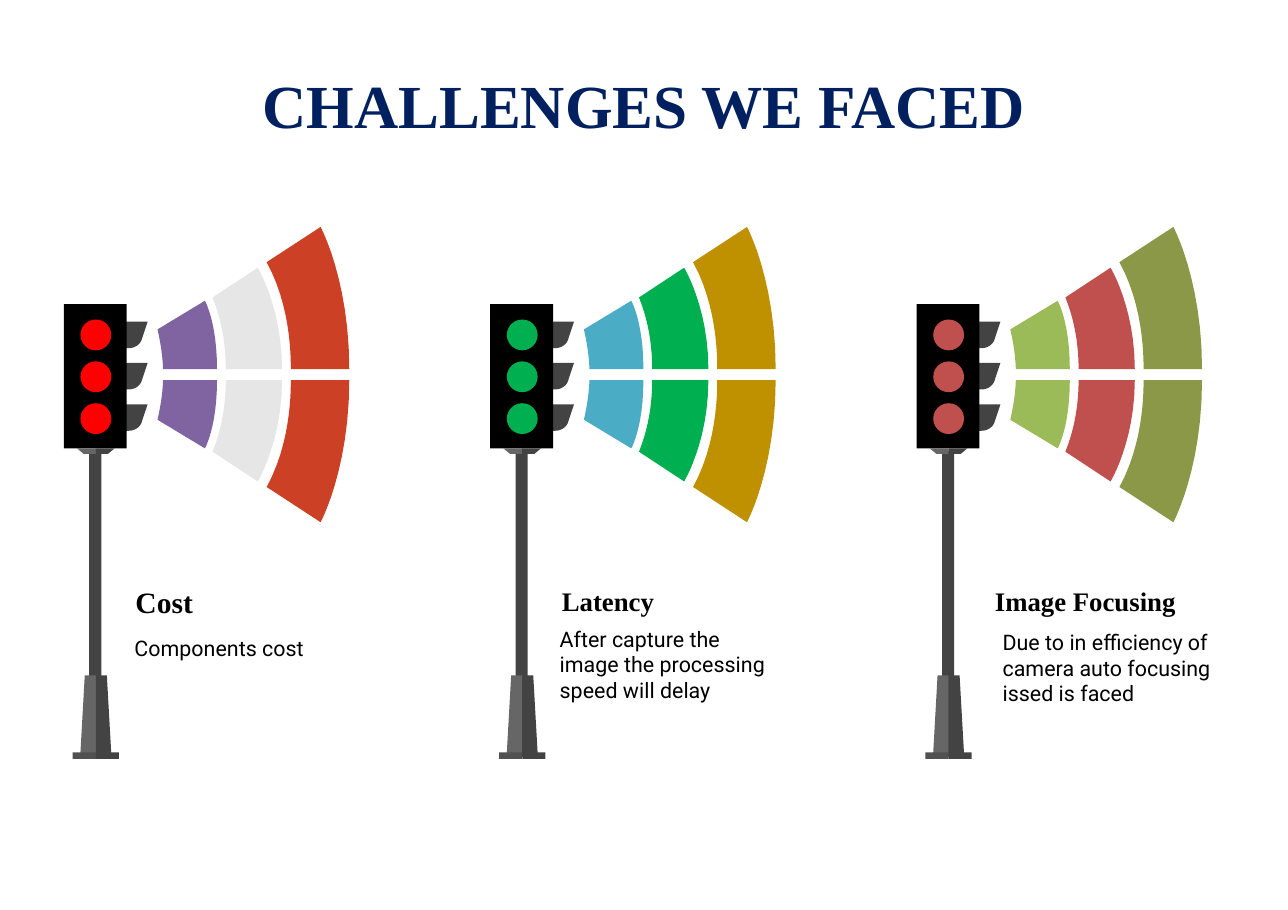
"""Builds the slide on challenges faced, shown as three traffic lights with beams."""
from pptx import Presentation
from pptx.dml.color import RGBColor
from pptx.enum.shapes import MSO_SHAPE as SHAPE
from pptx.enum.text import MSO_ANCHOR as ANCHOR, MSO_AUTO_SIZE as AUTO, PP_ALIGN as ALIGN
from pptx.util import Inches, Pt

BLACK = RGBColor(0x00, 0x00, 0x00)
NAVY = RGBColor(0x00, 0x20, 0x60)
DARK = RGBColor(0x43, 0x43, 0x43)
MID = RGBColor(0x51, 0x51, 0x51)
GREY = RGBColor(0x66, 0x66, 0x66)
RED = RGBColor(0xFF, 0x00, 0x00)
GREEN = RGBColor(0x00, 0xB0, 0x50)
BRICK = RGBColor(0xC0, 0x50, 0x4D)
PURPLE = RGBColor(0x80, 0x64, 0xA2)
SILVER = RGBColor(0xE7, 0xE6, 0xE6)
RUST = RGBColor(0xCC, 0x41, 0x25)
BLUE = RGBColor(0x4B, 0xAC, 0xC6)
GOLD = RGBColor(0xBF, 0x90, 0x00)
LIME = RGBColor(0x9B, 0xBB, 0x59)
OLIVE = RGBColor(0x8A, 0x98, 0x47)

SERIF, SANS = "Times New Roman", "Roboto"
PITCH = 3.87
BEAM_AXIS = 3.4
POLE_AXIS = 0.87

# Each outline step is one point for a line or three points for a curve.
BEAMS = [
    [[(1.97, 3.35)], [(1.48, 3.35)], [(1.48, 3.3), (1.47, 3.16), (1.43, 2.99)],
     [(1.86, 2.73)], [(1.86, 2.73), (1.97, 2.92), (1.97, 3.35)]],
    [[(2.56, 3.35)], [(2.05, 3.35)], [(2.05, 3.23), (2.04, 2.97), (1.93, 2.7)],
     [(2.34, 2.43)], [(2.34, 2.43), (2.56, 2.79), (2.56, 3.35)]],
    [[(3.17, 3.35)], [(2.64, 3.35)], [(2.64, 3.2), (2.63, 2.76), (2.42, 2.38)],
     [(2.91, 2.06)], [(2.91, 2.06), (3.17, 2.54), (3.17, 3.35)]],
]
VISOR = [[(1.13, 0)], [(1.13, 0.24)], [(1.17, 0.24)],
         [(1.23, 0.24), (1.28, 0.2), (1.29, 0.15)], [(1.34, 0)]]
COLLAR = [(0, 4.07), (0, 4.12), (0.11, 4.12), (0.17, 4.07)]
PEDESTAL = [(0, 6.13), (0, 6.84), (0.14, 6.84), (0.1, 6.13)]

COLUMNS = [
    dict(lamp=RED, beams=[PURPLE, SILVER, RUST],
         head=("Cost", 1.11, 5.18, 0.56, 19.3),
         body=("Components cost", 1.1, 5.65, 0.47)),
    dict(lamp=GREEN, beams=[BLUE, GREEN, GOLD],
         head=("Latency", 4.98, 5.19, 0.53, 17.5),
         body=("After capture the image the processing speed will delay",
               4.96, 5.56, 0.94)),
    dict(lamp=BRICK, beams=[LIME, BRICK, OLIVE],
         head=("Image Focusing", 8.91, 5.19, 0.53, 17.5),
         body=("Due to in efficiency of camera auto focusing issed is faced",
               8.98, 5.59, 0.94)),
]


def trace(steps, n=12):
    """Turn line and curve steps into a list of points."""
    pts = []
    for step in steps:
        if len(step) == 1:
            pts += step
            continue
        a, (b, c, d) = pts[-1], step
        for t in (i / n for i in range(1, n + 1)):
            u = 1 - t
            pts.append(tuple(u**3 * a[k] + 3 * u * u * t * b[k]
                             + 3 * u * t * t * c[k] + t**3 * d[k] for k in (0, 1)))
    return pts


def paint(sp, color):
    """Give a shape a plain fill with no line or shadow."""
    sp.shadow.inherit = False
    sp.fill.solid()
    sp.fill.fore_color.rgb = color
    sp.line.fill.background()


def add_outline(shapes, pts, color):
    """Add a closed freeform through points in inches."""
    pts = [(Inches(x), Inches(y)) for x, y in pts]
    fb = shapes.build_freeform(*pts[0])
    fb.add_line_segments(pts[1:], close=True)
    paint(fb.convert_to_shape(), color)


def add_preset(shapes, kind, x, y, w, h, color):
    """Add a preset shape."""
    paint(shapes.add_shape(kind, Inches(x), Inches(y), Inches(w), Inches(h)), color)


def write(sp, text, *, size, font, color=BLACK, bold=False, align=ALIGN.LEFT,
          anchor=ANCHOR.MIDDLE, fit=AUTO.SHAPE_TO_FIT_TEXT, top=0.12):
    """Write formatted text into a shape."""
    tf = sp.text_frame
    tf.word_wrap, tf.auto_size, tf.vertical_anchor = True, fit, anchor
    tf.margin_left = tf.margin_right = tf.margin_bottom = Inches(0.12)
    tf.margin_top = Inches(top)
    p = tf.paragraphs[0]
    p.alignment = align
    r = p.add_run()
    r.text = text
    r.font.size, r.font.name, r.font.bold = Pt(size), font, bold
    r.font.color.rgb = color


def add_text(shapes, text, x, y, h, **fmt):
    """Add a caption box."""
    write(shapes.add_textbox(Inches(x), Inches(y), Inches(2.26), Inches(h)), text, **fmt)


def add_beams(shapes, dx, colors):
    """Add three beams, each mirrored below the axis."""
    g = shapes.add_group_shape().shapes
    for flip in (False, True):
        for steps, color in zip(BEAMS, colors):
            add_outline(g, [(x + dx, 2 * BEAM_AXIS - y if flip else y)
                            for x, y in trace(steps)], color)


def add_signal(shapes, dx, lamp):
    """Add a traffic light on its pole."""
    g = shapes.add_group_shape().shapes
    axis = POLE_AXIS + dx
    for i in range(3):
        add_outline(g, [(x + dx, y + 2.92 + 0.375 * i) for x, y in trace(VISOR)], DARK)
    add_preset(g, SHAPE.RECTANGLE, 0.58 + dx, 2.76, 0.57, 1.31, BLACK)
    for i in range(3):
        add_preset(g, SHAPE.OVAL, 0.73 + dx, 2.9 + 0.38 * i, 0.28, 0.28, lamp)
    add_preset(g, SHAPE.RECTANGLE, 0.81 + dx, 4.09, 0.11, 2.78, DARK)
    for side, color in ((-1, GREY), (1, DARK)):
        for part in (COLLAR, PEDESTAL):
            add_outline(g, [(axis + side * x, y) for x, y in part], color)
    for x, color in ((axis - 0.21, MID), (axis, DARK)):
        add_preset(g, SHAPE.RECTANGLE, x, 6.83, 0.21, 0.06, color)


def main():
    """Build and save the slide."""
    prs = Presentation()
    prs.slide_width, prs.slide_height = Inches(11.69), Inches(8.26)
    s = prs.slides.add_slide(prs.slide_layouts[5])
    title = s.shapes.title
    title.left, title.top = Inches(0), Inches(0.49)
    title.width, title.height = Inches(11.69), Inches(0.51)
    write(title, "CHALLENGES WE FACED", size=40, font=SERIF, color=NAVY, bold=True,
          align=ALIGN.CENTER, anchor=ANCHOR.TOP, fit=AUTO.NONE)
    for i, col in enumerate(COLUMNS):
        dx = PITCH * i
        add_beams(s.shapes, dx, col["beams"])
        *head, size = col["head"]
        add_text(s.shapes, *head, size=size, font=SERIF, bold=True)
        add_text(s.shapes, *col["body"], size=14, font=SANS)
        add_signal(s.shapes, dx, col["lamp"])
    prs.save("out.pptx")


if __name__ == "__main__":
    main()
